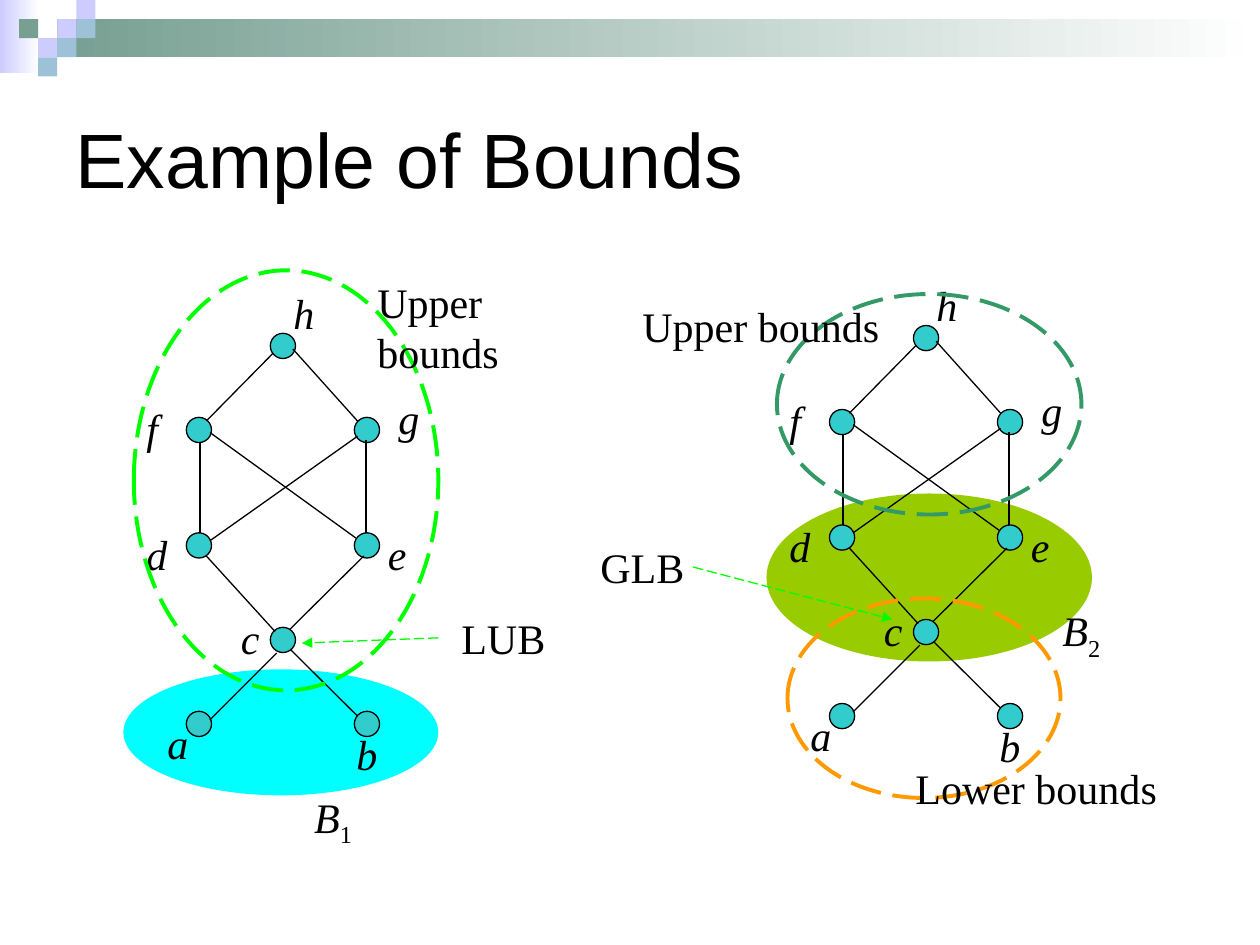
"""Build the slide on upper and lower bounds, laid out on a grid of twelve units to the inch."""
from dataclasses import dataclass
from typing import NamedTuple, Optional

import pptx
import pptx.dml.color
import pptx.enum.dml
import pptx.enum.shapes
import pptx.enum.text
import pptx.oxml
import pptx.oxml.ns
import pptx.util

COLORS = {
    "white": "FFFFFF", "black": "000000", "lilac": "CCCCFF", "sage": "779F92",
    "sky": "9DC2D7", "node": "33CCCC", "lime": "99CC00", "cyan": "00FFFF",
    "green": "00FF00", "orange": "FF9900", "forest": "339966",
}
COLS, ROWS = 120, 90
CELL = 1.82
NODE = 2.4
RECT = pptx.enum.shapes.MSO_SHAPE.RECTANGLE
OVAL = pptx.enum.shapes.MSO_SHAPE.OVAL


class Box(NamedTuple):
    x: float
    y: float
    w: float
    h: float


class Edge(NamedTuple):
    x1: float
    y1: float
    x2: float
    y2: float


@dataclass
class Vertex:
    name: str
    x: float
    y: float
    label_x: float
    label_y: float


@dataclass
class Label:
    text: str
    box: Box
    italic: bool = False
    sub: str = ""


@dataclass
class Ring:
    box: Box
    color: str


VERTICES = [
    Vertex("h", 87, 31, 88, 26), Vertex("f", 79, 39, 74, 37),
    Vertex("d", 79, 50, 74, 49), Vertex("e", 95, 50, 97, 49),
    Vertex("g", 95, 39, 98, 36), Vertex("a", 79, 67, 76, 67),
    Vertex("b", 95, 67, 94, 68), Vertex("c", 87, 59, 83, 57),
]
EDGES = [
    Edge(80.9, 39.35, 87.25, 32.9), Edge(89.15, 32.5, 95.3, 39.35),
    Edge(80.3, 50, 80.3, 41.4), Edge(96.1, 50, 96.1, 41.15),
    Edge(80.9, 52.2, 87.45, 59.4), Edge(88.9, 61.1, 95.3, 67.45),
    Edge(87.6, 61.45, 81.25, 67.8), Edge(88.9, 59.15, 95.9, 52.2),
    Edge(81.25, 50.75, 95.3, 40.8), Edge(81.25, 40.45, 95.15, 50.5),
]
DIAGRAM_SHIFTS = [(-61.25, 0.75), (0, 0)]
BLOBS = [Ring(Box(73, 47, 31, 16), "lime"), Ring(Box(11.75, 63.75, 30, 12), "cyan")]
RINGS = [
    Ring(Box(12.75, 25.75, 29, 40), "green"),
    Ring(Box(75, 57, 26, 19), "orange"),
    Ring(Box(74, 28, 29, 21), "forest"),
]
LABELS = [
    Label("B", Box(28.75, 74.75, 13, 6.75), True, "1"),
    Label("B", Box(100, 57, 13, 6.75), True, "2"),
    Label("Upper bounds", Box(34.75, 25.75, 22, 10.75)),
    Label("LUB", Box(42.75, 57.75, 15, 6)),
    Label("Lower bounds", Box(86, 72, 32, 6)),
    Label("Upper bounds", Box(60, 28, 25, 6)),
    Label("GLB", Box(56, 51, 17, 6)),
]
ARROWS = [Edge(41.75, 60.75, 28.75, 61.25), Edge(66, 54, 85, 59)]
SQUARES = [
    (3, 1, "lilac"), (4, 0, "lilac"), (4, 1, "sky"), (2, 2, "lilac"),
    (1, 1, "sage"), (3, 2, "sky"), (2, 3, "sky"),
]


def unit(n: float) -> pptx.util.Length:
    """Turn grid units into a length."""
    return pptx.util.Inches(n / 12)


def rgb(name: str) -> pptx.dml.color.RGBColor:
    """Look a colour up by name."""
    return pptx.dml.color.RGBColor.from_string(COLORS[name])


def add_shape(slide, kind, box: Box, fill: Optional[str] = None,
              line: Optional[str] = None, width: float = 0.75):
    """Add a preset shape with a plain fill and line."""
    s = slide.shapes.add_shape(kind, *map(unit, box))
    s.shadow.inherit = False
    if fill:
        s.fill.solid()
        s.fill.fore_color.rgb = rgb(fill)
    else:
        s.fill.background()
    if line:
        s.line.color.rgb = rgb(line)
        s.line.width = pptx.util.Pt(width)
    else:
        s.line.fill.background()
    return s


def add_fade(slide, box: Box, color: str) -> None:
    """Add a bar that fades to white on the right."""
    s = add_shape(slide, RECT, box, color)
    s.fill.gradient()
    s.fill.gradient_angle = 0
    for stop, name in zip(s.fill.gradient_stops, (color, "white")):
        stop.color.rgb = rgb(name)


def add_line(slide, edge: Edge, color: str = "black", arrow: bool = False) -> None:
    """Add a thin line, dashed with an arrowhead if asked."""
    s = slide.shapes.add_connector(
        pptx.enum.shapes.MSO_CONNECTOR.STRAIGHT, *map(unit, edge))
    s.line.color.rgb = rgb(color)
    s.line.width = pptx.util.Pt(0.75)
    sp = s._element.spPr
    if arrow:
        s.line.dash_style = pptx.enum.dml.MSO_LINE.LONG_DASH
        ln = sp.find(pptx.oxml.ns.qn("a:ln"))
        head = pptx.oxml.parse_xml(f'<a:tailEnd {pptx.oxml.ns.nsdecls("a")} type="triangle"/>')
        ln.append(head)
    sp.append(pptx.oxml.parse_xml(f'<a:effectLst {pptx.oxml.ns.nsdecls("a")}/>'))


def add_run(p, text: str, size: float, font: str, italic: bool = False):
    """Add one black run to a paragraph."""
    r = p.add_run()
    r.text = text
    r.font.size = pptx.util.Pt(size)
    r.font.name = font
    r.font.italic = italic
    r.font.color.rgb = rgb("black")
    return r


def add_label(slide, label: Label) -> None:
    """Add a text box with an optional subscript."""
    tf = slide.shapes.add_textbox(*map(unit, label.box)).text_frame
    tf.word_wrap = True
    p = tf.paragraphs[0]
    add_run(p, label.text, 24, "Times New Roman", label.italic)
    if label.sub:
        r = add_run(p, label.sub, 24, "Times New Roman")
        r.font._element.set("baseline", "-25000")


def add_diagram(slide, dx: float, dy: float) -> None:
    """Draw the ordered set, moved by the given units."""
    for v in VERTICES:
        add_shape(slide, OVAL, Box(v.x + dx, v.y + dy, NODE, NODE), "node", "black")
    for v in VERTICES:
        add_label(slide, Label(v.name, Box(v.label_x + dx, v.label_y + dy, 10, 6), True))
    for e in EDGES:
        add_line(slide, Edge(e.x1 + dx, e.y1 + dy, e.x2 + dx, e.y2 + dy))


def add_title(slide, text: str) -> None:
    """Place and fill the title."""
    s = slide.shapes.title
    s.left, s.top, s.width, s.height = map(unit, Box(6, 6, 108, 18))
    tf = s.text_frame
    tf.vertical_anchor = pptx.enum.text.MSO_ANCHOR.MIDDLE
    p = tf.paragraphs[0]
    p.alignment = pptx.enum.text.PP_ALIGN.LEFT
    add_run(p, text, 44, "Arial")


def main() -> None:
    """Build and save the slide."""
    prs = pptx.Presentation()
    prs.slide_width, prs.slide_height = unit(COLS), unit(ROWS)
    slide = prs.slides.add_slide(prs.slide_layouts[5])
    add_title(slide, "Example of Bounds")
    add_fade(slide, Box(0, 0, 3.7, 7), "lilac")
    add_fade(slide, Box(3 * CELL, CELL, COLS - 3 * CELL, 2 * CELL), "sage")
    for col, row, color in SQUARES:
        add_shape(slide, RECT, Box(col * CELL, row * CELL, CELL, CELL), color)
    for blob in BLOBS:
        add_shape(slide, OVAL, blob.box, blob.color)
    for dx, dy in DIAGRAM_SHIFTS:
        add_diagram(slide, dx, dy)
    for ring in RINGS:
        s = add_shape(slide, OVAL, ring.box, None, ring.color, 2.25)
        s.line.dash_style = pptx.enum.dml.MSO_LINE.LONG_DASH
    for label in LABELS:
        add_label(slide, label)
    for arrow in ARROWS:
        add_line(slide, arrow, "green", True)
    prs.save("out.pptx")


if __name__ == "__main__":
    main()
